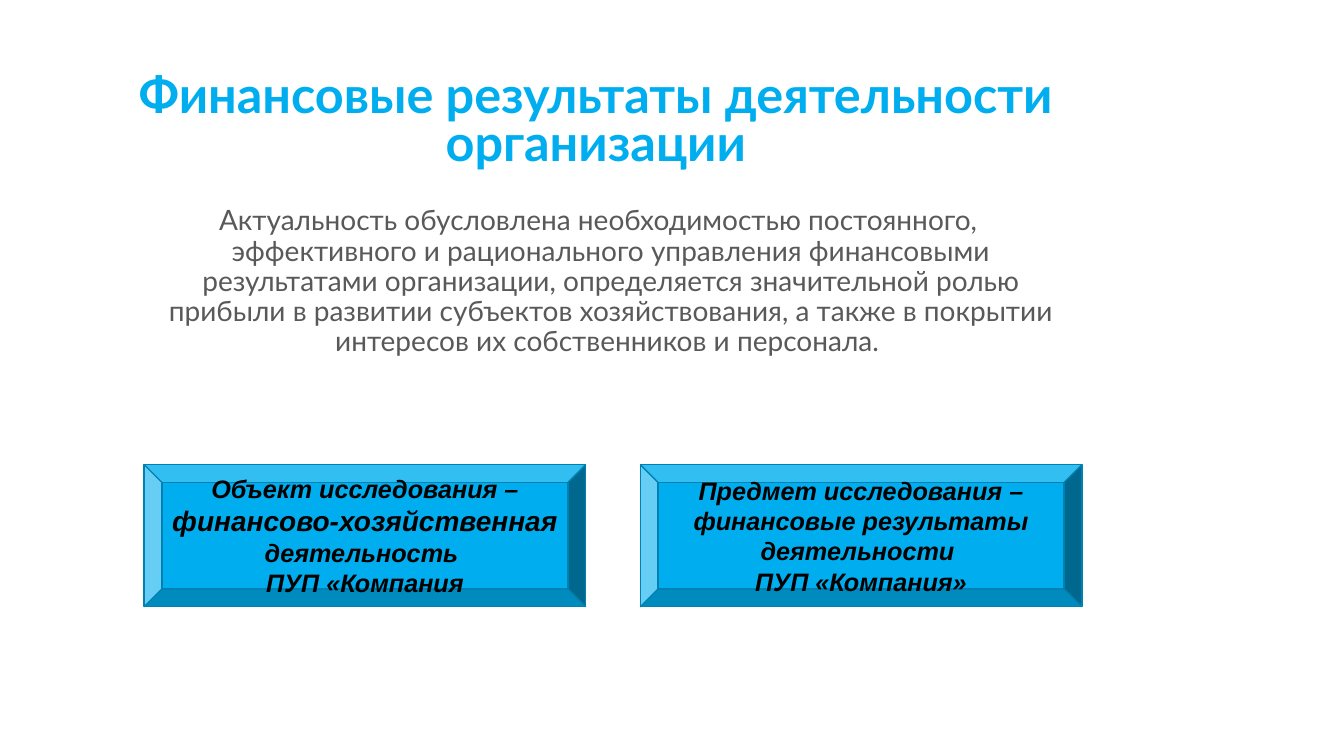
from pptx import Presentation
from pptx.dml.color import RGBColor
from pptx.enum.shapes import MSO_SHAPE
from pptx.enum.text import MSO_ANCHOR, MSO_AUTO_SIZE, PP_ALIGN
from pptx.util import Inches, Pt

BLUE = RGBColor(0x00, 0xAE, 0xEF)
DARK_BLUE = RGBColor(0x00, 0x81, 0xB1)
GRAY = RGBColor(0x59, 0x59, 0x59)
BLACK = RGBColor(0x00, 0x00, 0x00)

TITLE = "Финансовые результаты деятельности организации"
RELEVANCE = (
    "Актуальность обусловлена необходимостью постоянного, эффективного и "
    "рационального управления финансовыми результатами организации, "
    "определяется значительной ролью прибыли в развитии субъектов "
    "хозяйствования, а также в покрытии интересов их собственников и персонала. "
)
CARDS = [
    [
        [("Объект исследования – ", 18), ("финансово-хозяйственная", 20), (" деятельность ", 18)],
        [("ПУП «Компания", 18)],
    ],
    [
        [("Предмет исследования – финансовые результаты деятельности ", 18)],
        [("ПУП «Компания»", 18)],
    ],
]

TEXT_LEFT, TEXT_WIDTH = 1.16, 9.5
CARD_LEFT, CARD_TOP, CARD_WIDTH, CARD_HEIGHT, CARD_STEP = 1.43, 4.61, 4.38, 1.41, 4.92


def add_span(para, text, size, font_name, color, bold=False, italic=False):
    span = para.add_run()
    span.text = text
    span.font.size = Pt(size)
    span.font.name = font_name
    span.font.color.rgb = color
    span.font.bold = bold
    span.font.italic = italic


def prepare_frame(box, anchor, line_spacing):
    frame = box.text_frame
    frame.word_wrap = True
    frame.auto_size = MSO_AUTO_SIZE.NONE
    frame.vertical_anchor = anchor
    para = frame.paragraphs[0]
    para.alignment = PP_ALIGN.CENTER
    para.line_spacing = line_spacing
    return para


def add_card(page, index, lines):
    card = page.shapes.add_shape(
        MSO_SHAPE.BEVEL,
        Inches(CARD_LEFT + index * CARD_STEP), Inches(CARD_TOP),
        Inches(CARD_WIDTH), Inches(CARD_HEIGHT),
    )
    card.shadow.inherit = False
    card.fill.solid()
    card.fill.fore_color.rgb = BLUE
    card.line.color.rgb = DARK_BLUE
    card.line.width = Pt(1)
    para = prepare_frame(card, MSO_ANCHOR.MIDDLE, 1.0)
    for number, line in enumerate(lines):
        if number:
            para.add_line_break()
        for text, size in line:
            add_span(para, text, size, "Arial", BLACK, bold=True, italic=True)


def main():
    deck = Presentation()
    deck.slide_width, deck.slide_height = Inches(13.33), Inches(7.5)
    page = deck.slides.add_slide(deck.slide_layouts[5])

    title = page.shapes.title
    title.left, title.top = Inches(TEXT_LEFT), Inches(0.58)
    title.width, title.height = Inches(TEXT_WIDTH), Inches(1.17)
    para = prepare_frame(title, MSO_ANCHOR.BOTTOM, 0.8)
    add_span(para, TITLE, 36, "Lato", BLUE, bold=True)

    relevance = page.shapes.add_textbox(
        Inches(TEXT_LEFT), Inches(2), Inches(TEXT_WIDTH), Inches(1.75)
    )
    para = prepare_frame(relevance, MSO_ANCHOR.TOP, 0.9)
    properties = para._p.get_or_add_pPr()
    properties.set("marL", str(Inches(0.3)))
    properties.set("indent", str(Inches(-0.25)))
    add_span(para, RELEVANCE, 20, "Lato", GRAY)

    for index, lines in enumerate(CARDS):
        add_card(page, index, lines)

    deck.save("out.pptx")


if __name__ == "__main__":
    main()
